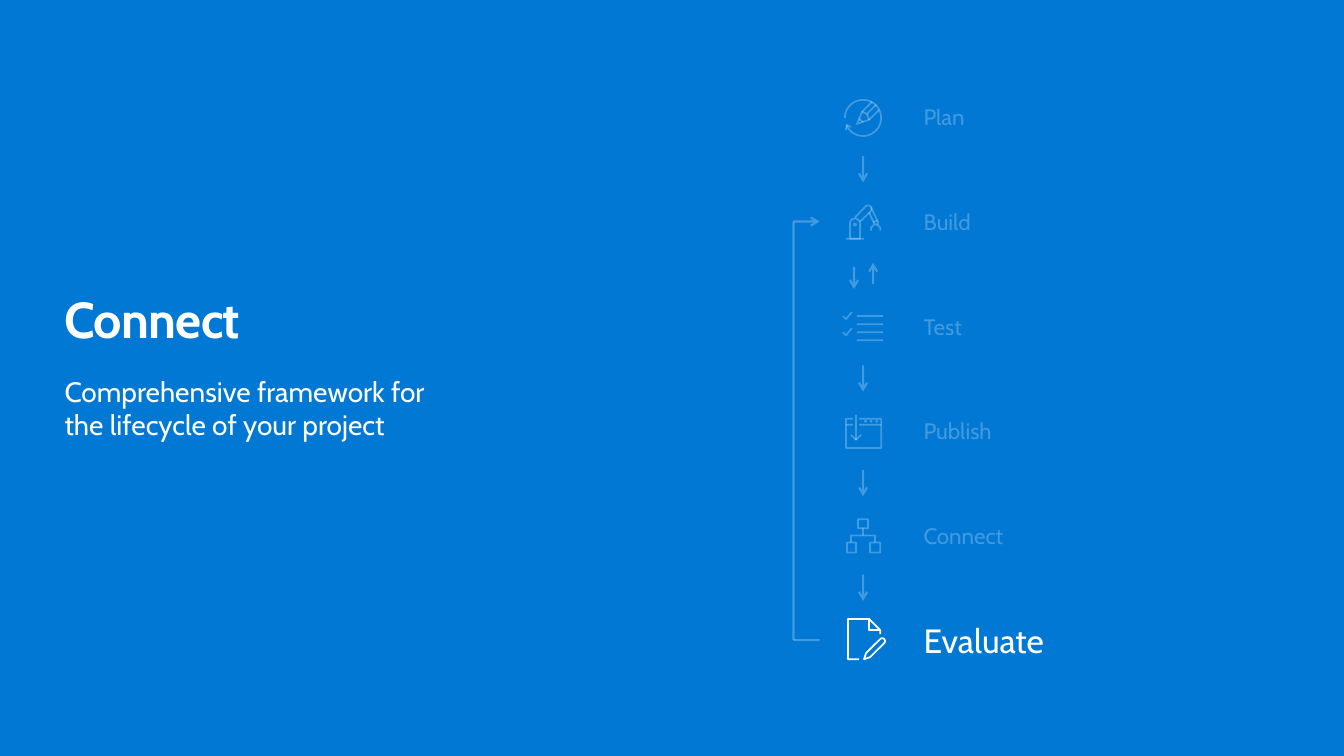
from math import cos, radians, sin

from pptx import Presentation
from pptx.dml.color import RGBColor
from pptx.enum import shapes, text
from pptx.oxml.ns import qn
from pptx.util import Inches, Pt
from lxml import etree

FONT = "Cabin"
BLUE, WHITE = "0078D4", "FFFFFF"
FADED = 25  # percent opacity of the inactive steps


def colour(target, value, opacity=100):
    """Give a fill or font a solid colour, optionally see-through."""
    fill = getattr(target, "fill", target)
    fill.solid()
    fill.fore_color.rgb = RGBColor.from_string(value)
    if opacity < 100:
        for srgb in fill._xPr.iter(qn("a:srgbClr")):
            etree.SubElement(srgb, qn("a:alpha")).set("val", str(opacity * 1000))


# --- Icon outlines, in hundredths of an inch around the icon centre ---
def arc(x, y, radius, start, end, steps=24):
    angles = [radians(start + (end - start) * i / steps) for i in range(steps + 1)]
    return [(x + radius * cos(a), y + radius * sin(a)) for a in angles]


def ring(x, y, radius):
    return arc(x, y, radius, 0, 360)


def rectangle(left, top, right, bottom):
    return [(left, top), (right, top), (right, bottom), (left, bottom), (left, top)]


PLAN = [
    arc(0, 1, 18, 180, 516),
    [(-12, 10), (-16, 8), (-17, 13)],
    [(9, -15), (-1, -5), (-6, 7), (6, 3), (16, -7)],
    [(-1, -5), (4, -3), (13, -12)],
    [(6, 3), (4, -3)],
    [(-4, 2), (0, 5)],
]
BUILD = [
    [(14, 3), (17, 6), (17, 9)],
    [(11, 3), (8, 6), (8, 9)],
    arc(-8, 2, 5, 180, 360) + [(-3, 17), (-13, 17), (-13, 2)],
    [(-17, 17), (1, 17)],
    ring(-8, 3, 1),
    [(10, 1), (14, -1)],
    [(-3, 0)] + arc(5, -12.5, 3.5, 45, -135) + [(-8, -4)],
    arc(13, 1, 2, 150, 0) + [(8, -14)],
    [(11, 2), (6, -9)],
]
TEST = [[(-6, y), (20, y)] for y in (-10, -2, 6, 14)] + [
    [(-20, y), (-17, y + 3), (-11, y - 4)] for y in (-10, 6)
]
PUBLISH = [
    [(-4, -12), (18, -12), (18, 17), (-17, 17), (-17, -12), (-10, -12)],
    [(-4, -6), (18, -6)],
    [(-17, -6), (-10, -6)],
    [(-12, 4), (-7, 9), (-2, 4)],
    [(-7, -16), (-7, 9)],
] + [ring(x, -9.5, 0.5) for x in (2.5, 8, 13.5)]
CONNECT = [
    rectangle(-5, -16, 5, -7),
    rectangle(-16, 7, -7, 17),
    rectangle(7, 7, 17, 17),
    [(0, -7), (0, 0)],
    [(12, 7), (12, 0), (-12, 0), (-12, 7)],
]
EVALUATE = [
    [(17, -10), (6, -10), (6, -21)],
    [(17, -6), (17, -10), (6, -21), (-15, -21), (-15, 19), (-4, 19)],
    [(1, 19), (7, 17)] + arc(19, 1, 2.8, 45, -135) + [(3, 13), (1, 19)],
]

# Name, label width, icon
STEPS = [
    ("Plan", 0.44, PLAN),
    ("Build", 0.52, BUILD),
    ("Test", 0.4, TEST),
    ("Publish", 0.74, PUBLISH),
    ("Connect", 0.84, CONNECT),
    ("Evaluate", 1.27, EVALUATE),
]
ACTIVE = "Evaluate"


def draw_icon(page, x, y, strokes, opacity):
    outline = None
    for stroke in strokes:
        points = [(px * 10, py * 10) for px, py in stroke]
        if outline is None:
            outline = page.shapes.build_freeform(*points[0], scale=Inches(1) / 1000)
        else:
            outline.move_to(*points[0])
        outline.add_line_segments(points[1:], close=False)
    icon = outline.convert_to_shape(Inches(x), Inches(y))
    icon.shadow.inherit = False
    icon.fill.background()
    colour(icon.line, WHITE, opacity)
    icon.line.width = Pt(1.25)


def draw_line(page, x1, y1, x2, y2, arrow=True):
    line = page.shapes.add_connector(
        shapes.MSO_CONNECTOR.STRAIGHT, Inches(x1), Inches(y1), Inches(x2), Inches(y2))
    colour(line.line, WHITE, FADED)
    line.line.width = Pt(1.5)
    if arrow:
        etree.SubElement(line.line._get_or_add_ln(), qn("a:tailEnd")).set("type", "arrow")
    etree.SubElement(line._element.spPr, qn("a:effectLst"))


def write(box, words, size, bold=False, opacity=100):
    frame = box.text_frame
    frame.margin_left = frame.margin_right = frame.margin_top = frame.margin_bottom = 0
    frame.vertical_anchor = text.MSO_ANCHOR.MIDDLE
    para = frame.paragraphs[0]
    para.text = words
    para.alignment = text.PP_ALIGN.LEFT
    para.space_before = Pt(0)
    font = para.runs[0].font
    font.name, font.size, font.bold = FONT, Pt(size), bold
    colour(font, WHITE, opacity)
    return frame


def place(shape, left, top, width, height):
    shape.left, shape.top = Inches(left), Inches(top)
    shape.width, shape.height = Inches(width), Inches(height)


def heading(page, left, top, width):
    """Title with its description below."""
    title, body = page.shapes.title, page.placeholders[1]
    place(title, left, top, width, 0.61)
    place(body, left, top + 0.86, width, 0.67)
    for box, words, size, bold in (
        (title, "Connect", 36, True),
        (body, "Comprehensive framework for the lifecycle of your project", 20, False),
    ):
        frame = write(box, words, size, bold)
        frame.word_wrap = True
        frame.auto_size = text.MSO_AUTO_SIZE.NONE
    title.text_frame.paragraphs[0].runs[0].font._element.set("spc", "-50")


def lifecycle(page, left, top, height):
    """Column of steps joined by arrows; top and height span the row centres."""
    pitch = height / (len(STEPS) - 1)
    axis, label_left = left + 0.69, left + 1.29

    # Steps
    for row, (name, width, strokes) in enumerate(STEPS):
        y = top + row * pitch
        size, tall, opacity = (24, 0.4, 100) if name == ACTIVE else (16, 0.27, FADED)
        draw_icon(page, axis, y, strokes, opacity)
        label = page.shapes.add_textbox(0, 0, 0, 0)
        frame = write(label, name, size, opacity=opacity)
        frame.word_wrap = False
        frame.auto_size = text.MSO_AUTO_SIZE.SHAPE_TO_FIT_TEXT
        place(label, label_left, y - tall / 2, width, tall)

    # Arrows between steps; Build and Test go both ways
    for row, (name, _, _) in enumerate(STEPS[:-1]):
        middle = top + (row + 0.5) * pitch
        if name == "Build":
            draw_line(page, axis - 0.09, middle - 0.07, axis - 0.09, middle + 0.15)
            draw_line(page, axis + 0.1, middle + 0.1, axis + 0.1, middle - 0.11)
        else:
            draw_line(page, axis, middle - 0.13, axis, middle + 0.13)

    # Loop from the last step back to Build
    build, end = top + pitch, top + height
    draw_line(page, left, build, left + 0.26, build)
    draw_line(page, left, end, left + 0.26, end, arrow=False)
    draw_line(page, left, build, left, end, arrow=False)


def main():
    deck = Presentation()
    deck.slide_width, deck.slide_height = Inches(13.33), Inches(7.5)
    page = deck.slides.add_slide(deck.slide_layouts[0])
    colour(page.background, BLUE)
    heading(page, 0.64, 2.85, 3.81)
    lifecycle(page, 7.87, 1.16, 5.19)
    deck.save("out.pptx")


if __name__ == "__main__":
    main()
